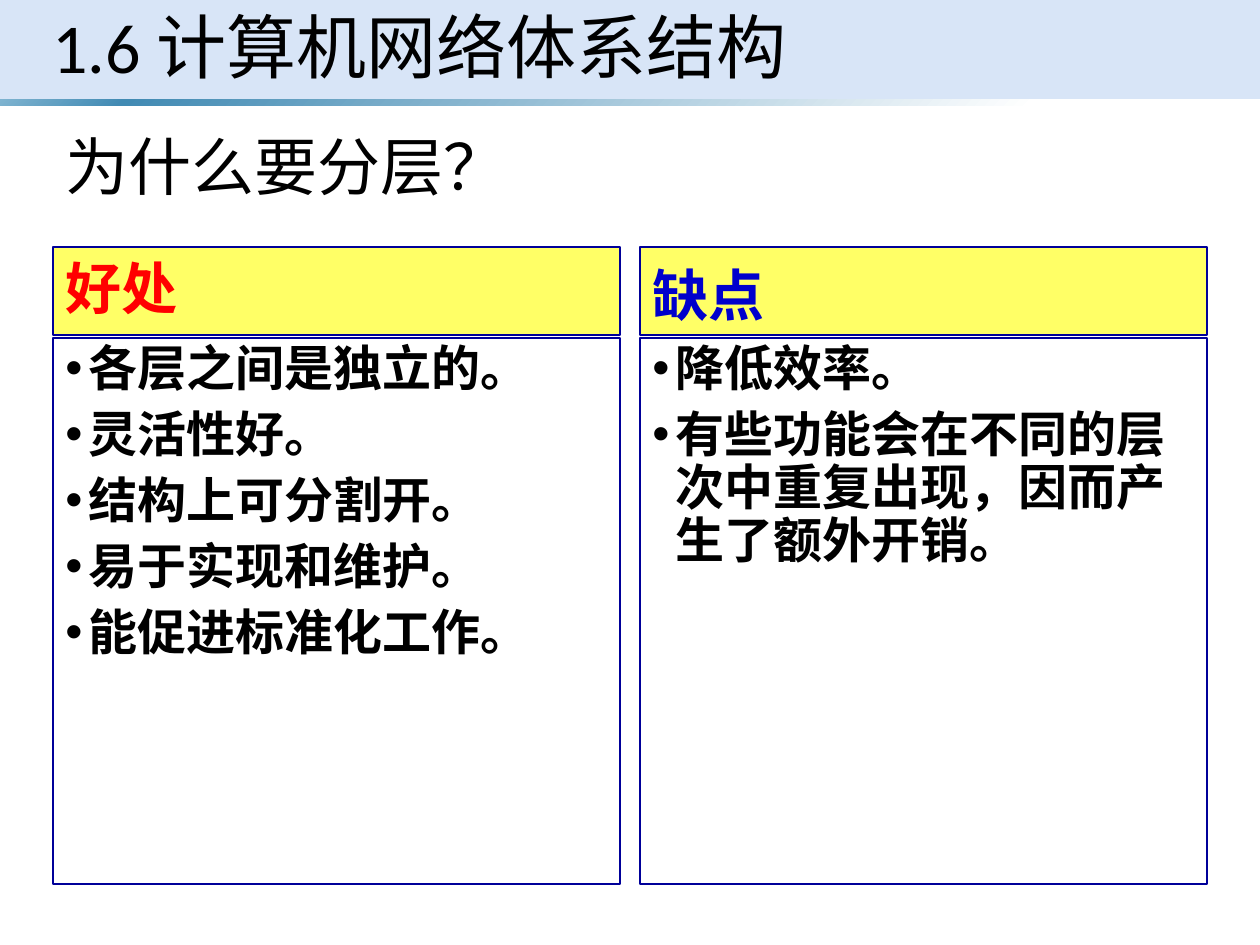
"""Build the slide on the benefits and drawbacks of layering a network."""
from lxml.etree import SubElement
from pptx import Presentation
from pptx.dml.color import RGBColor
from pptx.enum.shapes import MSO_SHAPE
from pptx.enum.text import MSO_ANCHOR, PP_ALIGN
from pptx.oxml import parse_xml
from pptx.oxml.ns import nsdecls, qn
from pptx.util import Pt

PX = 914400 / 126
C = {"band": "C8DAF4", "sky": "7EB3D0", "blue": "418AB3", "white": "FFFFFF", "yellow": "FFFF66",
     "navy": "000099", "red": "FF0000", "royal": "0000CC", "black": "000000"}


def add_rect(x, y, w, h, fill=None, line=None):
    sp = s.shapes.add_shape(MSO_SHAPE.RECTANGLE, *[round(v * PX) for v in (x, y, w, h)])
    sp.shadow.inherit = False
    if fill:
        sp.fill.solid()
        sp.fill.fore_color.rgb = RGBColor.from_string(C[fill])
    else:
        sp.fill.background()
    if line:
        sp.line.color.rgb = RGBColor.from_string(C[line])
        sp.line.width = Pt(0.75)
    else:
        sp.line.fill.background()
    return sp


def write(sp, lines, size, color="black", font="Arial", bold=True, anchor=MSO_ANCHOR.TOP, bullet=False):
    tf = sp.text_frame
    tf.word_wrap = True
    tf.vertical_anchor = anchor
    tf.text = "\n".join(lines)
    for i, p in enumerate(tf.paragraphs):
        p.alignment = PP_ALIGN.LEFT
        p.line_spacing = 0.9
        if i:
            p.space_before = Pt(7.5)
        if bullet:
            pPr = p._p.get_or_add_pPr()
            pPr.set("marL", "171450")
            pPr.set("indent", "-171450")
            SubElement(pPr, qn("a:buFont")).set("typeface", "Arial")
            SubElement(pPr, qn("a:buChar")).set("char", "•")
        for r in p.runs:
            r.font.name = font
            r.font.size = Pt(size)
            r.font.bold = bold
            r.font.color.rgb = RGBColor.from_string(C[color])


prs = Presentation()
prs.slide_width = round(1260 * PX)
prs.slide_height = round(945 * PX)
s = prs.slides.add_slide(prs.slide_layouts[6])

band = add_rect(0, 0, 1260, 99, "band")
SubElement(band._element.spPr.find(".//" + qn("a:srgbClr")), qn("a:alpha")).set("val", "70000")

strip = add_rect(0, 99, 1260, 7, "white")
stops = "".join(f'<a:gs pos="{pos * 1000}"><a:srgbClr val="{C[name]}"/></a:gs>'
                for pos, name in [(0, "sky"), (10, "blue"), (82, "white"), (96, "white")])
solid = strip._element.spPr.find(qn("a:solidFill"))
solid.getparent().replace(solid, parse_xml(
    f'<a:gradFill {nsdecls("a")} rotWithShape="1"><a:gsLst>{stops}</a:gsLst>'
    '<a:lin ang="2700000" scaled="1"/></a:gradFill>'))

headings = [
    (40, 0, 1176, 102, "1.6 计算机网络体系结构", 40, MSO_ANCHOR.MIDDLE),
    (53, 130, 1153, 74, "为什么要分层？", 36, MSO_ANCHOR.TOP),
]
for x, y, w, h, text, size, anchor in headings:
    tb = s.shapes.add_textbox(*[round(v * PX) for v in (x, y, w, h)])
    write(tb, [text], size, font="Calibri", bold=False, anchor=anchor)

columns = [
    ("好处", "red", MSO_ANCHOR.MIDDLE,
     ["各层之间是独立的。", "灵活性好。", "结构上可分割开。", "易于实现和维护。", "能促进标准化工作。"]),
    ("缺点", "royal", MSO_ANCHOR.BOTTOM,
     ["降低效率。", "有些功能会在不同的层次中重复出现，因而产生了额外开销。"]),
]
for i, (head, color, anchor, points) in enumerate(columns):
    x = 53 + i * 587
    write(add_rect(x, 247, 567, 88, "yellow", "navy"), [head], 32, color, anchor=anchor)
    write(add_rect(x, 338, 567, 546, line="navy"), points, 28, bullet=True)

prs.save("out.pptx")
